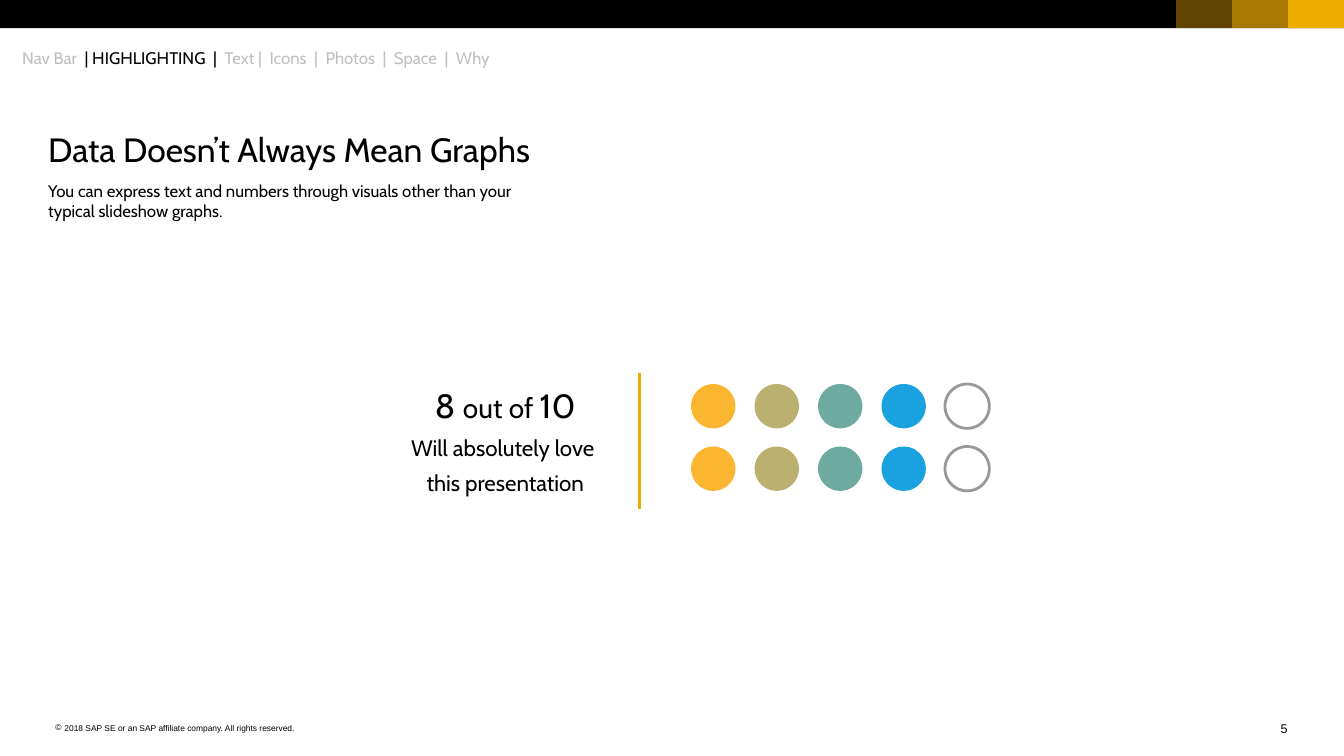
from dataclasses import dataclass
from typing import Optional

from lxml.etree import SubElement
from pptx import Presentation
from pptx.dml.color import RGBColor
from pptx.enum.shapes import MSO_CONNECTOR, MSO_SHAPE
from pptx.enum.text import PP_ALIGN
from pptx.oxml.ns import qn
from pptx.shapes.autoshape import Shape
from pptx.slide import Slide
from pptx.text.text import _Paragraph as Paragraph
from pptx.util import Inches, Pt


@dataclass(frozen=True)
class Theme:
    font: str = "Cabin"
    footer_font: str = "Arial"
    black: str = "000000"
    gold: str = "F0AB00"
    muted: str = "BFBFBF"
    outline: str = "999999"
    dots: tuple[str, ...] = ("FAB630", "BAB070", "6EAA9F", "1AA1E0")
    title: float = 24
    figure: float = 20
    caption: float = 16
    body: float = 12
    page: float = 9
    legal: float = 6
    rule: float = 2


THEME = Theme()


@dataclass(frozen=True)
class Run:
    text: str
    size: float
    color: str = THEME.black
    font: str = THEME.font


@dataclass(frozen=True)
class TextBlock:
    left: float
    top: float
    width: float
    height: float
    lines: tuple[tuple[Run, ...], ...]
    align: PP_ALIGN = PP_ALIGN.LEFT
    space_after: float = 0
    inset: bool = True
    wrap: bool = True
    bullet: Optional[str] = None


@dataclass(frozen=True)
class Figure:
    kind: MSO_SHAPE
    left: float
    top: float
    width: float
    height: float
    fill: Optional[str] = None
    opacity: int = 100


SLIDE_WIDTH, SLIDE_HEIGHT = 13.34, 7.5
BAR_HEIGHT = 0.28
SWATCH_WIDTH = 0.555
SWATCH_OPACITIES = (100, 70, 40)
DOT_SIZE = 0.44
DOT_LEFT, DOT_TOP = 6.86, 3.81
DOT_STEP_X, DOT_STEP_Y = 0.63, 0.62
DOT_ROWS = 2

TEXT_BLOCKS = (
    TextBlock(12.63, 7.15, 0.15, 0.15,
              ((Run("5", THEME.page, font=THEME.footer_font),),),
              align=PP_ALIGN.RIGHT, inset=False, wrap=False),
    TextBlock(0.55, 7.17, 2.48, 0.1,
              ((Run("2018 SAP SE or an SAP affiliate company. All rights reserved.",
                    THEME.legal, font=THEME.footer_font),),),
              inset=False, bullet="©"),
    TextBlock(0.22, 0.47, 10.35, 0.2,
              ((Run("Nav Bar  ", THEME.body, THEME.muted),
                Run("| HIGHLIGHTING  |  ", THEME.body),
                Run("Text |  Icons  |  Photos  |  Space  |  Why",
                    THEME.body, THEME.muted)),),
              inset=False),
    TextBlock(0.38, 1.23, 6.65, 0.5,
              ((Run("Data Doesn’t Always Mean Graphs", THEME.title),),)),
    TextBlock(0.38, 1.74, 5.02, 0.5,
              ((Run("You can express text and numbers through visuals other than "
                    "your typical slideshow graphs.", THEME.body),),)),
    TextBlock(3.87, 3.77, 2.29, 1.21,
              ((Run("8 ", THEME.title), Run("out of ", THEME.figure),
                Run("10", THEME.title)),
               (Run("Will absolutely love ", THEME.caption),),
               (Run("this presentation", THEME.caption),)),
              align=PP_ALIGN.CENTER, space_after=6),
)


def rgb(color: str) -> RGBColor:
    return RGBColor.from_string(color)


def add_figure(slide: Slide, figure: Figure) -> Shape:
    """Draw a filled shape, or an outlined one when it has no fill."""
    shape = slide.shapes.add_shape(
        figure.kind, Inches(figure.left), Inches(figure.top),
        Inches(figure.width), Inches(figure.height))
    shape.shadow.inherit = False
    if figure.fill is None:
        shape.fill.background()
        shape.line.color.rgb = rgb(THEME.outline)
        shape.line.width = Pt(THEME.rule)
        return shape
    shape.fill.solid()
    shape.fill.fore_color.rgb = rgb(figure.fill)
    shape.line.fill.background()
    if figure.opacity < 100:
        color = next(shape.fill._xPr.iter(qn("a:srgbClr")))
        SubElement(color, qn("a:alpha"), val=str(figure.opacity * 1000))
    return shape


def add_bullet(paragraph: Paragraph, character: str) -> None:
    properties = paragraph._p.get_or_add_pPr()
    indent = Inches(0.09)
    properties.set("marL", str(indent))
    properties.set("indent", str(-indent))
    bullet_color = SubElement(properties, qn("a:buClr"))
    SubElement(bullet_color, qn("a:srgbClr"), val=THEME.black)
    SubElement(properties, qn("a:buFont"), typeface=THEME.footer_font)
    SubElement(properties, qn("a:buChar"), char=character)


def add_text(slide: Slide, block: TextBlock) -> None:
    box = slide.shapes.add_textbox(
        Inches(block.left), Inches(block.top),
        Inches(block.width), Inches(block.height))
    frame = box.text_frame
    frame.word_wrap = block.wrap
    if not block.inset:
        frame.margin_left = frame.margin_right = 0
        frame.margin_top = frame.margin_bottom = 0
    for index, line in enumerate(block.lines):
        paragraph = frame.add_paragraph() if index else frame.paragraphs[0]
        paragraph.alignment = block.align
        paragraph.space_after = Pt(block.space_after)
        if block.bullet:
            add_bullet(paragraph, block.bullet)
        for part in line:
            run = paragraph.add_run()
            run.text = part.text
            run.font.name = part.font
            run.font.size = Pt(part.size)
            run.font.color.rgb = rgb(part.color)


def add_top_bar(slide: Slide) -> None:
    add_figure(slide, Figure(MSO_SHAPE.RECTANGLE, 0, 0, SLIDE_WIDTH, BAR_HEIGHT,
                             THEME.black))
    for index, opacity in enumerate(SWATCH_OPACITIES, start=1):
        add_figure(slide, Figure(
            MSO_SHAPE.RECTANGLE, SLIDE_WIDTH - index * SWATCH_WIDTH, 0,
            SWATCH_WIDTH, BAR_HEIGHT, THEME.gold, opacity))


def add_dot_grid(slide: Slide) -> None:
    for row in range(DOT_ROWS):
        for column, color in enumerate((*THEME.dots, None)):
            add_figure(slide, Figure(
                MSO_SHAPE.OVAL, DOT_LEFT + column * DOT_STEP_X,
                DOT_TOP + row * DOT_STEP_Y, DOT_SIZE, DOT_SIZE, color))


def add_divider(slide: Slide) -> None:
    divider = slide.shapes.add_connector(
        MSO_CONNECTOR.STRAIGHT, Inches(6.35), Inches(3.7), Inches(6.35), Inches(5.05))
    divider.line.color.rgb = rgb(THEME.gold)
    divider.line.width = Pt(THEME.rule)
    SubElement(divider._element.spPr, qn("a:effectLst"))


def main() -> None:
    presentation = Presentation()
    presentation.slide_width = Inches(SLIDE_WIDTH)
    presentation.slide_height = Inches(SLIDE_HEIGHT)
    slide = presentation.slides.add_slide(presentation.slide_layouts[6])
    add_top_bar(slide)
    add_dot_grid(slide)
    add_divider(slide)
    for block in TEXT_BLOCKS:
        add_text(slide, block)
    presentation.save("out.pptx")


if __name__ == "__main__":
    main()
